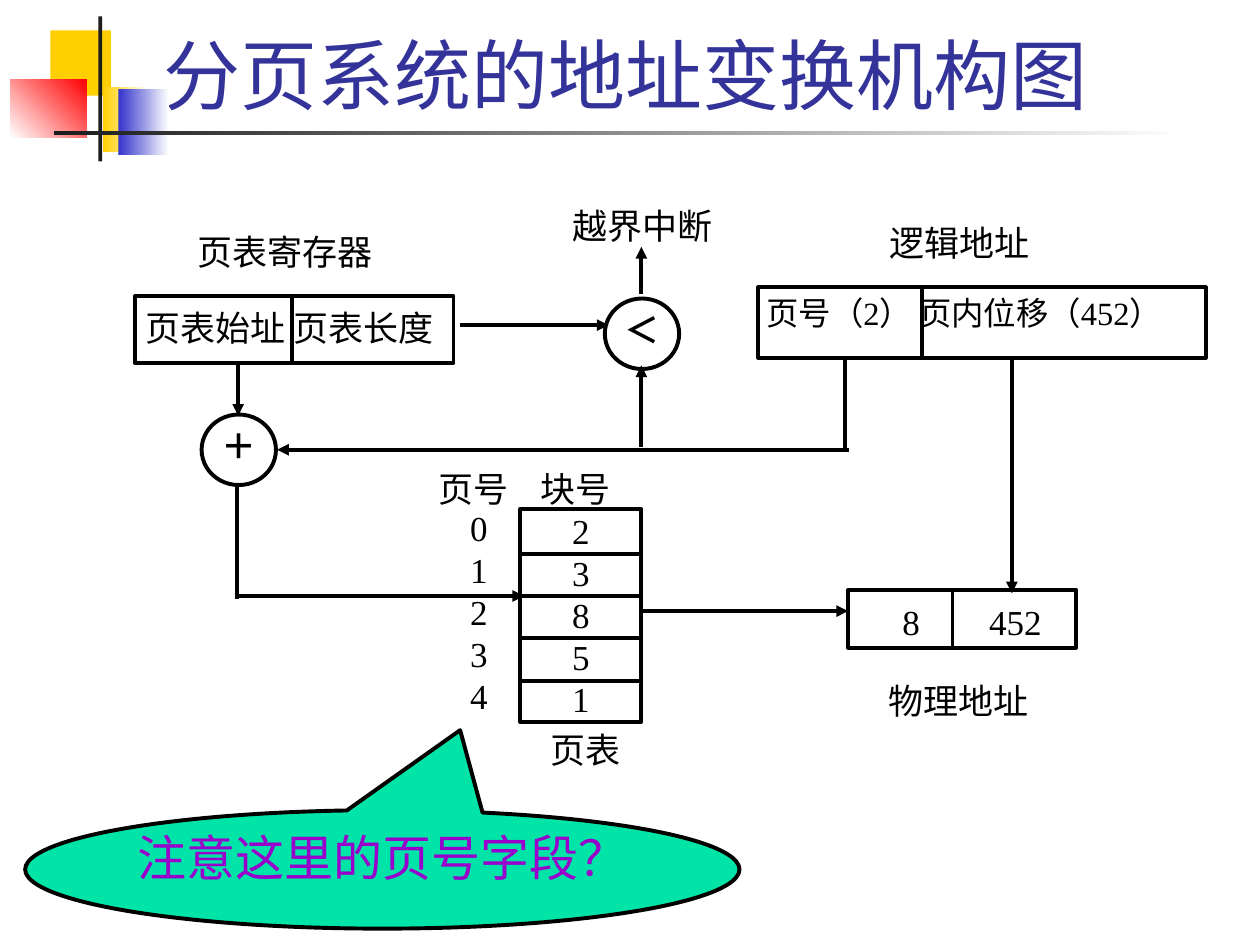
from dataclasses import dataclass

from lxml import etree
from pptx import Presentation
from pptx.dml.color import RGBColor
from pptx.enum.shapes import MSO_CONNECTOR, MSO_SHAPE
from pptx.enum.text import MSO_ANCHOR, MSO_AUTO_SIZE, PP_ALIGN
from pptx.oxml.ns import qn
from pptx.util import Pt

RECT, ELLIPSE = MSO_SHAPE.RECTANGLE, MSO_SHAPE.OVAL
CALLOUT = MSO_SHAPE.OVAL_CALLOUT
LEFT, CENTER, JUSTIFY = PP_ALIGN.LEFT, PP_ALIGN.CENTER, PP_ALIGN.JUSTIFY
TOP, BOTTOM = MSO_ANCHOR.TOP, MSO_ANCHOR.BOTTOM


@dataclass
class Theme:
    black: str = "000000"
    white: str = "FFFFFF"
    ink: str = "1C1C1C"
    yellow: str = "FFCF01"
    blue: str = "3333CC"
    red: str = "FF0000"
    title: str = "333399"
    callout: str = "00E4A8"
    question: str = "9900CC"
    display_font: str = "Karla"
    body_font: str = "Times New Roman"
    title_size: float = 44
    callout_size: float = 28
    body_size: float = 20
    address_size: float = 18.5
    line_width: float = 2.25


theme = Theme()


def write(shape, lines, size=theme.body_size, align=JUSTIFY, inset=(0, 0), bold=None,
          font=theme.body_font, color=theme.black, tabs=(), anchor=TOP):
    """Fill a shape with one paragraph per line; inset is (left, top)."""
    frame = shape.text_frame
    frame.word_wrap = True
    frame.auto_size = MSO_AUTO_SIZE.NONE
    frame.vertical_anchor = anchor
    frame.margin_left, frame.margin_top = Pt(inset[0]), Pt(inset[1])
    frame.margin_right = frame.margin_bottom = 0
    for index, line in enumerate(lines):
        para = frame.add_paragraph() if index else frame.paragraphs[0]
        para.alignment = align
        if tabs:
            stops = etree.SubElement(para._p.get_or_add_pPr(), qn("a:tabLst"))
            for stop in tabs:
                etree.SubElement(stops, qn("a:tab"), pos=str(Pt(stop)), algn="l")
        span = para.add_run()
        span.text = line
        span.font.size = Pt(size)
        span.font.name = font
        span.font.bold = bold
        span.font.color.rgb = RGBColor.from_string(color)


def add_outlined(kind, left, top, width, height, fill=theme.white):
    shape = page.shapes.add_shape(kind, Pt(left), Pt(top), Pt(width), Pt(height))
    shape.shadow.inherit = False
    shape.fill.solid()
    shape.fill.fore_color.rgb = RGBColor.from_string(fill)
    shape.line.color.rgb = RGBColor.from_string(theme.black)
    shape.line.width = Pt(theme.line_width)
    return shape


deck = Presentation()
deck.slide_width, deck.slide_height = Pt(720), Pt(540)
page = deck.slides.add_slide(deck.slide_layouts[5])

# Corner ornament: start colour, end colour, gradient angle
ornament = [
    (28.8, 17.3, 34.6, 37.4, theme.yellow, None, 0),
    (59, 49.7, 25.9, 37.4, theme.yellow, theme.white, 0),
    (67.7, 51.1, 28.8, 37.4, theme.blue, theme.white, 0),
    (5.8, 45.4, 43.9, 33.1, theme.white, theme.red, 45),
    (56.2, 9.4, 2.2, 82.8, theme.ink, None, 0),
    (31, 74.9, 648, 2.2, theme.ink, theme.white, 0),
]
for left, top, width, height, start, end, angle in ornament:
    block = page.shapes.add_shape(RECT, Pt(left), Pt(top), Pt(width), Pt(height))
    block.shadow.inherit = False
    block.line.fill.background()
    if end:
        block.fill.gradient()
        block.fill.gradient_angle = angle
        for stop, color, position in zip(block.fill.gradient_stops, (start, end), (0, 1)):
            stop.color.rgb = RGBColor.from_string(color)
            stop.position = position
    else:
        block.fill.solid()
        block.fill.fore_color.rgb = RGBColor.from_string(start)

title = page.shapes.title
title.left, title.top, title.width, title.height = Pt(86.4), Pt(12.2), Pt(613.4), Pt(59.8)
write(title, ["分页系统的地址变换机构图"], theme.title_size, LEFT, (7.2, 3.6),
      font=theme.display_font, color=theme.title, anchor=BOTTOM)
title.text_frame.margin_bottom = Pt(3.6)

# Registers, operators and the page table
register = add_outlined(RECT, 77, 169.2, 182.2, 38.2)
write(register, ["页表始址 页表长度"], inset=(6, 6))
compare = add_outlined(ELLIPSE, 345.6, 170.6, 42.5, 40.3)
write(compare, ["＜"], align=CENTER, bold=True)
adder = add_outlined(ELLIPSE, 115.2, 236.9, 42.5, 40.3)
write(adder, ["＋"], align=CENTER, bold=True)
logical = add_outlined(RECT, 433.4, 164.2, 255.6, 40.3)
write(logical, ["页号（2） 页内位移（452）"], theme.address_size, inset=(4.6, 6))
logical.text_frame.paragraphs[0].line_spacing = 0.9
page_table = add_outlined(RECT, 297.4, 290.9, 69.1, 121.7)
write(page_table, ["2", "3", "8", "5", "1"], align=CENTER)
physical = add_outlined(RECT, 484.6, 337, 130.3, 33.1)
write(physical, ["\t8\t452"], inset=(6, 6), tabs=(25, 74.6))

labels = [
    (113, 131.8, 113, 28.8, ["页表寄存器"]),
    (326.9, 116.6, 96.5, 33.1, ["越界中断"]),
    (508.3, 126.7, 86.4, 31.7, ["逻辑地址"]),
    (250.6, 267.1, 122.4, 25.9, ["页号\t块号"]),
    (268.6, 289.4, 31, 121.7, ["0", "1", "2", "3", "4"]),
    (507.6, 388.1, 91.4, 31, ["物理地址"]),
    (314.6, 416.2, 43.9, 26.6, ["页表"]),
]
for left, top, width, height, lines in labels:
    box = page.shapes.add_textbox(Pt(left), Pt(top), Pt(width), Pt(height))
    write(box, lines, tabs=(58.3,) if "\t" in lines[0] else ())

# Lines: x1, y1, x2, y2, arrowhead at the end
lines = [
    (167, 169.2, 167, 207.4, False),
    (527, 164.2, 527, 204.5, False),
    (544.3, 169.2 + 167.8, 544.3, 370.1, False),
    (483.1, 205.2, 483.1, 257, False),
    (135.4, 275.8, 135.4, 342, False),
    (136.1, 340.6, 299.5, 340.6, True),
    (366.5, 167.8, 366.5, 141.1, True),
    (136.1, 208.1, 136.1, 237.6, True),
    (485.3, 257, 158.4, 257, True),
    (366.5, 255.6, 366.5, 208.8, True),
    (367.2, 349.2, 484.6, 349.2, True),
    (578.2, 205.2, 578.2, 339.1, True),
    (262.8, 185.8, 347.8, 185.8, True),
]
lines += [(297.4, 316.6 + 24.1 * row, 366.5, 316.6 + 24.1 * row, False) for row in range(4)]
for x1, y1, x2, y2, arrow in lines:
    line = page.shapes.add_connector(MSO_CONNECTOR.STRAIGHT, Pt(x1), Pt(y1), Pt(x2), Pt(y2))
    line.line.color.rgb = RGBColor.from_string(theme.black)
    line.line.width = Pt(theme.line_width)
    if arrow:
        etree.SubElement(line.line._get_or_add_ln(), qn("a:tailEnd"), type="triangle")
    etree.SubElement(line._element.spPr, qn("a:effectLst"))

question = add_outlined(CALLOUT, 14.4, 463, 408.2, 67.7, theme.callout)
question.adjustments[0], question.adjustments[1] = 0.109, -1.176
write(question, ["注意这里的页号字段？"], theme.callout_size, CENTER,
      font=theme.display_font, color=theme.question)

deck.save("out.pptx")
